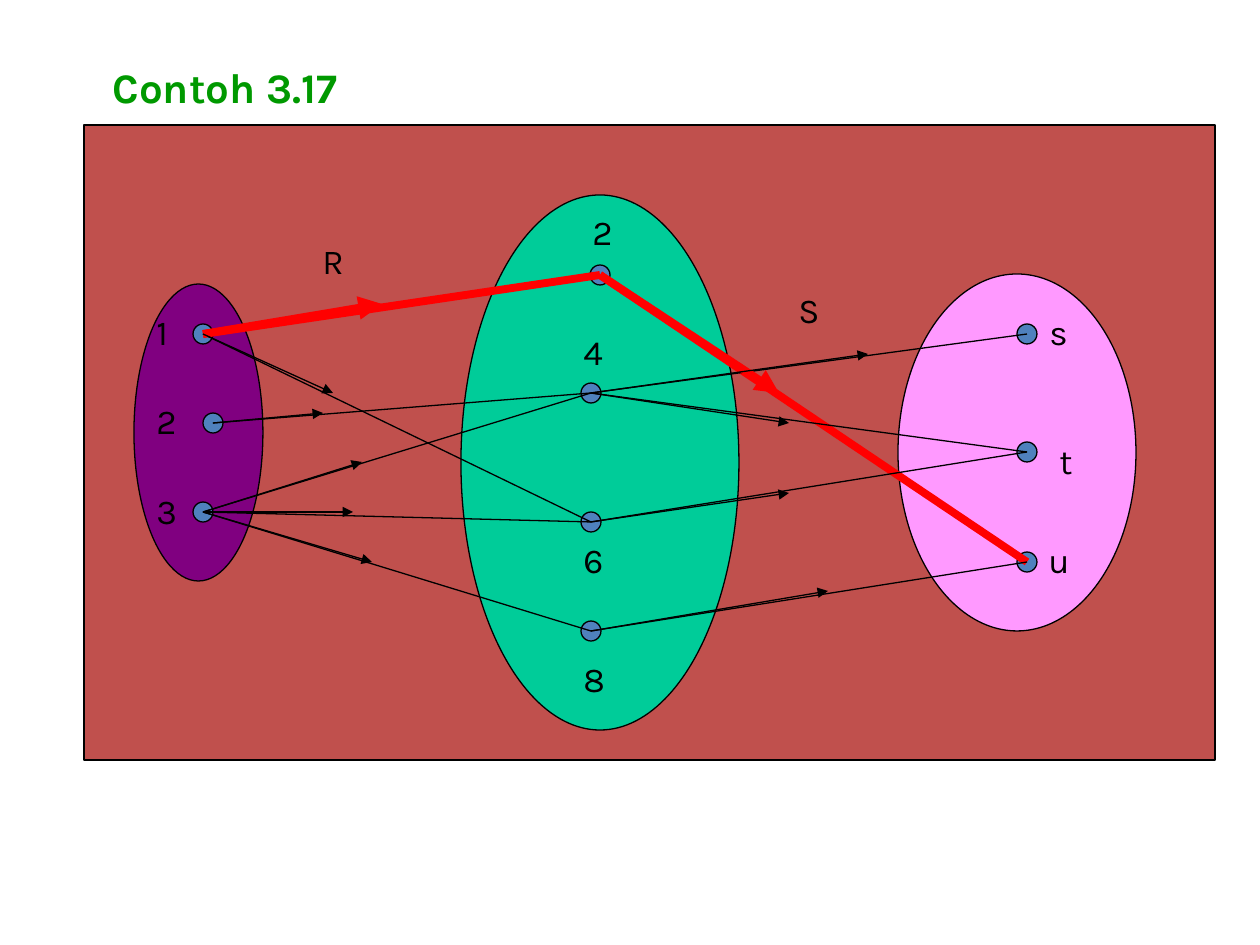
from dataclasses import dataclass
from lxml.etree import SubElement
from pptx import Presentation
from pptx.dml.color import RGBColor
from pptx.enum.shapes import MSO_CONNECTOR, MSO_SHAPE
from pptx.enum.text import MSO_ANCHOR, MSO_AUTO_SIZE, PP_ALIGN
from pptx.oxml.ns import qn
from pptx.util import Inches, Pt


@dataclass(frozen=True)
class Theme:
    font: str = "Karla"
    title_size: int = 24
    label_size: int = 20
    thin: float = 0.75
    thick: float = 4.5
    ink: str = "000000"
    title: str = "009900"
    universe: str = "C0504D"
    domain: str = "800080"
    middle: str = "00CC99"
    codomain: str = "FF99FF"
    element: str = "4F81BD"
    route: str = "FF0000"


theme = Theme()
PX = Inches(10) / 1260
DOT = 20
LABEL_HEIGHT = 55

presentation = Presentation()
presentation.slide_width = round(1260 * PX)
presentation.slide_height = round(945 * PX)
slide = presentation.slides.add_slide(presentation.slide_layouts[5])
shapes = slide.shapes


def write(holder, text, size, color, bold=False):
    frame = holder.text_frame
    frame.text = text
    paragraph = frame.paragraphs[0]
    frame_format = {
        "word_wrap": False,
        "auto_size": MSO_AUTO_SIZE.SHAPE_TO_FIT_TEXT,
        "vertical_anchor": MSO_ANCHOR.TOP,
    }
    for attribute, value in frame_format.items():
        setattr(frame, attribute, value)
    paragraph.alignment = PP_ALIGN.LEFT
    font = paragraph.runs[0].font
    for attribute, value in {"name": theme.font, "size": Pt(size), "bold": bold}.items():
        setattr(font, attribute, value)
    font.color.rgb = RGBColor.from_string(color)


def draw_line(start, end, color, width, arrow=False):
    line = shapes.add_connector(
        MSO_CONNECTOR.STRAIGHT, *(round(v * PX) for v in (*start, *end))
    )
    line.line.color.rgb = RGBColor.from_string(color)
    line.line.width = Pt(width)
    properties = line._element.spPr
    if arrow:
        SubElement(properties.find(qn("a:ln")), qn("a:tailEnd"), type="triangle")
    SubElement(properties, qn("a:effectLst"))


title = shapes.title
title_box = {"left": 144 - 44, "top": 55, "width": 272, "height": 63}
for attribute, value in title_box.items():
    setattr(title, attribute, round(value * PX))
write(title, "Contoh 3.17", theme.title_size, theme.title, bold=True)

elements = {
    "a1": (203, 334), "a2": (213, 423), "a3": (203, 512),
    "b2": (600, 275), "b4": (591, 393), "b6": (591, 522), "b8": (591, 631),
    "s": (1027, 334), "t": (1027, 452), "u": (1027, 562),
}

regions = [
    (MSO_SHAPE.RECTANGLE, 84, 125, 1131, 635, theme.universe),
    (MSO_SHAPE.OVAL, 134, 284, 129, 297, theme.domain),
    (MSO_SHAPE.OVAL, 461, 195, 278, 535, theme.middle),
    (MSO_SHAPE.OVAL, 898, 274, 238, 357, theme.codomain),
]
dots = [
    (MSO_SHAPE.OVAL, x - DOT / 2, y - DOT / 2, DOT, DOT, theme.element)
    for x, y in elements.values()
]
for geometry, *box, color in regions + dots:
    area = shapes.add_shape(geometry, *(round(v * PX) for v in box))
    area.shadow.inherit = False
    area.fill.solid()
    area.fill.fore_color.rgb = RGBColor.from_string(color)
    area.line.color.rgb = RGBColor.from_string(theme.ink)
    area.line.width = Pt(theme.thin)

relations = [
    ("a1", "b2", (382, 304)), ("a1", "b6", (333, 393)),
    ("a2", "b4", (323, 413)), ("a3", "b4", (362, 462)),
    ("a3", "b6", (353, 512)), ("a3", "b8", (372, 562)),
    ("b2", "u", (779, 393)), ("b4", "s", (868, 354)),
    ("b4", "t", (789, 423)), ("b6", "t", (789, 493)),
    ("b8", "u", (828, 591)),
]
highlighted = {("a1", "b2"), ("b2", "u")}
for arrow in (False, True):
    for source, target, tip in relations:
        on_route = (source, target) in highlighted
        draw_line(
            elements[source],
            tip if arrow else elements[target],
            theme.route if on_route else theme.ink,
            theme.thick if on_route else theme.thin,
            arrow,
        )

labels = [
    ("1", 144, 304, 45), ("2", 144, 393, 45), ("3", 144, 483, 45),
    ("2", 580, 204, 45), ("4", 571, 324, 45),
    ("6", 571, 532, 45), ("8", 571, 651, 45),
    ("s", 1037, 304, 42), ("t", 1047, 433, 38), ("u", 1036, 532, 47),
    ("R", 310, 233, 47), ("S", 786, 282, 44),
]
for text, left, top, width in labels:
    label = shapes.add_textbox(
        *(round(v * PX) for v in (left, top, width, LABEL_HEIGHT))
    )
    write(label, text, theme.label_size, theme.ink)

presentation.save("out.pptx")
